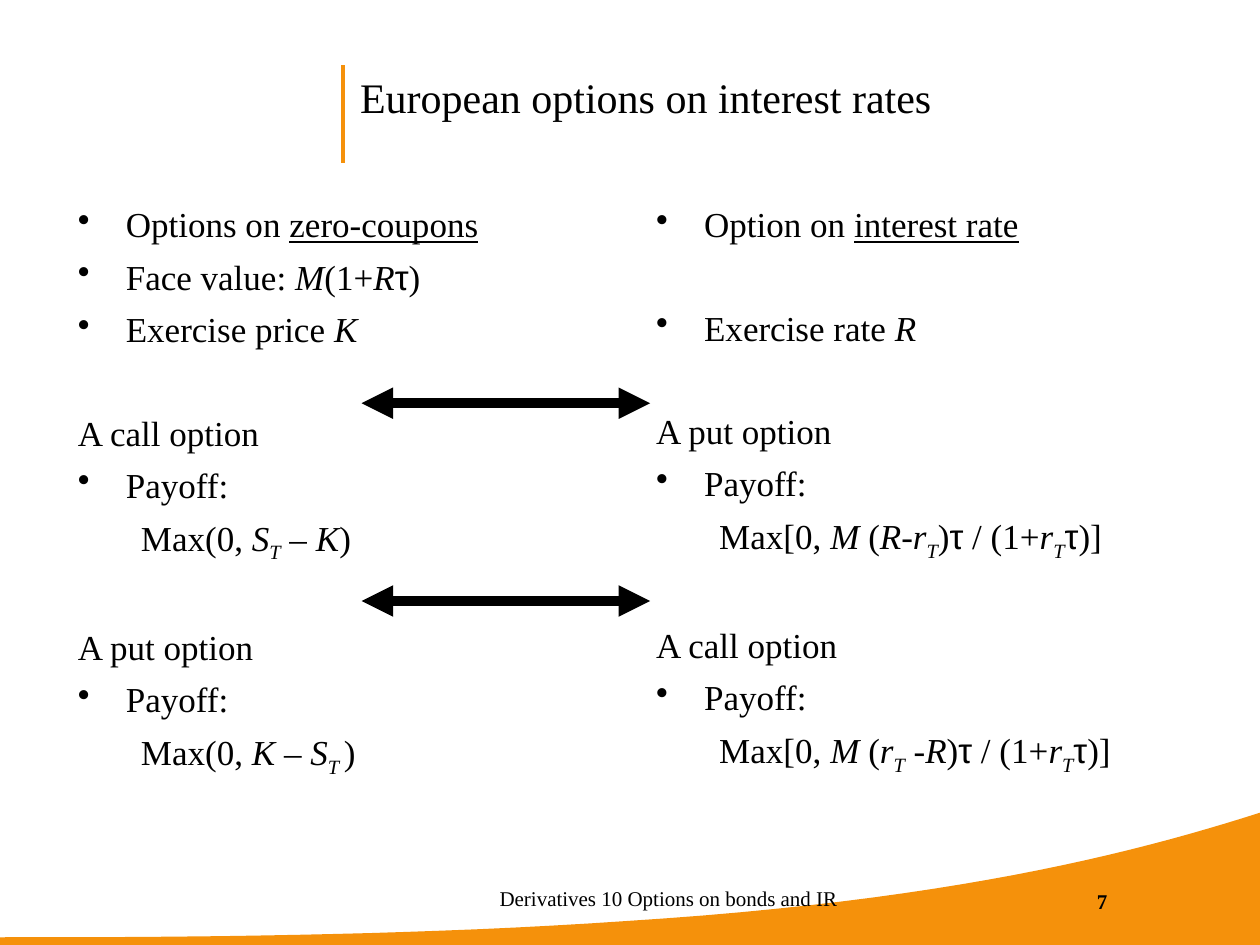
from lxml.etree import SubElement
from pptx import Presentation
from pptx.dml.color import RGBColor
from pptx.enum.shapes import MSO_CONNECTOR
from pptx.enum.text import MSO_ANCHOR, PP_ALIGN
from pptx.oxml.ns import qn
from pptx.util import Inches, Pt

ORANGE = RGBColor(0xF5, 0x91, 0x0B)
BLACK = RGBColor(0, 0, 0)
SERIF, GREEK = "Times New Roman", "Arial"

# Content: each line is (kind, extra rows skipped above, runs of (text, style))
TITLE = "European options on interest rates"
FOOTER = "Derivatives 10 Options on bonds and IR"
PAGE_NUMBER = "7"
PAYOFF = ("bullet", 0, [("Payoff:", "")])
DISCOUNT = [("τ", "greek"), (" / (1+", ""), ("r", "italic"), ("T", "sub"),
            ("τ", "greek"), (")]", "")]
ZERO_COUPONS = [
    ("bullet", 0, [("Options on ", ""), ("zero-coupons", "underline")]),
    ("bullet", 0, [("Face value: ", ""), ("M", "italic"), ("(1+", ""),
                   ("R", "italic"), ("τ", "greek"), (")", "")]),
    ("bullet", 0, [("Exercise price ", ""), ("K", "italic")]),
    ("heading", 1, [("A call option", "")]),
    PAYOFF,
    ("formula", 0, [("Max(0, ", ""), ("S", "italic"), ("T", "sub"),
                    (" – K", "italic"), (")", "")]),
    ("heading", 1, [("A put option", "")]),
    PAYOFF,
    ("formula", 0, [("Max(0, ", ""), ("K ", "italic"), ("– ", ""),
                    ("S", "italic"), ("T ", "sub"), (")", "")]),
]
INTEREST_RATE = [
    ("bullet", 0, [("Option on ", ""), ("interest rate", "underline")]),
    ("bullet", 1, [("Exercise rate ", ""), ("R", "italic")]),
    ("heading", 1, [("A put option", "")]),
    PAYOFF,
    ("formula", 0, [("Max[0, ", ""), ("M ", "italic"), ("(", ""),
                    ("R-r", "italic"), ("T", "sub"), (")", "")] + DISCOUNT),
    ("heading", 1, [("A call option", "")]),
    PAYOFF,
    ("formula", 0, [("Max[0, ", ""), ("M ", "italic"), ("(", ""),
                    ("r", "italic"), ("T", "sub"), (" -R", "italic"),
                    (")", "")] + DISCOUNT),
]
COLUMNS = [(0.52, ZERO_COUPONS), (5.11, INTEREST_RATE)]
ARROW_LEVELS = [3.2, 4.77]
INDENTS = {"bullet": (0.38, -0.38), "heading": (0.38, -0.38),
           "formula": (0.81, -0.31)}
LINE_GAP, ROW_PITCH = 6, 29  # points

# Upper edge of the swoosh, as cubic curves
SWOOSH_CURVES = [
    [(0, 7.44), (0.02, 7.43), (2.67, 7.47), (4.97, 7.31)],
    [(4.97, 7.31), (7.51, 7.15), (8.97, 6.78), (10, 6.45)],
]


def curve_points(curve, steps=24):
    for step in range(1, steps + 1):
        t = step / steps
        weights = ((1 - t) ** 3, 3 * t * (1 - t) ** 2, 3 * t * t * (1 - t), t ** 3)
        yield tuple(Inches(sum(w * point[axis] for w, point in zip(weights, curve)))
                    for axis in (0, 1))


def add_swoosh(slide):
    builder = slide.shapes.build_freeform(Inches(0), Inches(7.5))
    edge = [(Inches(0), Inches(7.44))]
    for curve in SWOOSH_CURVES:
        edge += curve_points(curve)
    builder.add_line_segments(edge + [(Inches(10), Inches(7.5))], close=True)
    swoosh = builder.convert_to_shape()
    swoosh.fill.solid()
    swoosh.fill.fore_color.rgb = ORANGE
    swoosh.line.fill.background()
    swoosh.shadow.inherit = False


def add_line(slide, start, end, color, width, arrows=False):
    line = slide.shapes.add_connector(
        MSO_CONNECTOR.STRAIGHT, *(Inches(v) for v in start + end))
    line.line.color.rgb = color
    line.line.width = Pt(width)
    if arrows:
        outline = line.line._get_or_add_ln()
        for tag in ("a:headEnd", "a:tailEnd"):
            SubElement(outline, qn(tag), type="triangle")
    SubElement(line._element.spPr, qn("a:effectLst"))


def add_frame(slide, *box):
    frame = slide.shapes.add_textbox(*(Inches(v) for v in box)).text_frame
    frame.word_wrap = True
    return frame


def format_run(run, size, style=""):
    font = run.font
    font.size = Pt(size)
    font.name = GREEK if style == "greek" else SERIF
    font.color.rgb = BLACK
    if style in ("italic", "sub"):
        font.italic = True
    if style == "underline":
        font.underline = True
    if style == "sub":
        run._r.get_or_add_rPr().set("baseline", "-25000")


def add_column(slide, left, lines):
    frame = add_frame(slide, left, 1.56, 4.41, 5.31)
    for index, (kind, skipped, runs) in enumerate(lines):
        paragraph = frame.add_paragraph() if index else frame.paragraphs[0]
        paragraph.space_before = Pt(LINE_GAP + skipped * ROW_PITCH)
        paragraph.level = 1 if kind == "formula" else 0
        margin, indent = INDENTS[kind]
        properties = paragraph._p.get_or_add_pPr()
        properties.set("marL", str(Inches(margin)))
        properties.set("indent", str(Inches(indent)))
        if kind == "bullet":
            SubElement(properties, qn("a:buChar"), char="•")
        else:
            SubElement(properties, qn("a:buNone"))
            if kind == "heading":
                properties.set("marL", "0")
                properties.set("indent", "0")
        for text, style in runs:
            run = paragraph.add_run()
            run.text = text
            format_run(run, 20, style)


def add_footer(slide, text, box, bold=False):
    frame = add_frame(slide, *box)
    frame.margin_left = frame.margin_right = frame.margin_top = frame.margin_bottom = 0
    frame.vertical_anchor = MSO_ANCHOR.BOTTOM
    frame.text = text
    paragraph = frame.paragraphs[0]
    paragraph.alignment = PP_ALIGN.RIGHT
    format_run(paragraph.runs[0], 12)
    paragraph.runs[0].font.bold = bold


def main():
    deck = Presentation()
    deck.slide_width, deck.slide_height = Inches(10), Inches(7.5)
    slide = deck.slides.add_slide(deck.slide_layouts[6])

    # Swoosh, title bar and title
    add_swoosh(slide)
    add_line(slide, (2.72, 0.52), (2.72, 1.29), ORANGE, 2.25)
    title = add_frame(slide, 2.76, 0.52, 6.76, 0.81)
    title.text = TITLE
    format_run(title.paragraphs[0].runs[0], 24)

    # Two columns and the arrows that match them
    for left, lines in COLUMNS:
        add_column(slide, left, lines)
    for level in ARROW_LEVELS:
        add_line(slide, (2.87, level), (5.16, level), BLACK, 6, arrows=True)

    # Footer
    add_footer(slide, FOOTER, (3.48, 6.89, 3.17, 0.34))
    add_footer(slide, PAGE_NUMBER, (7.63, 6.91, 1.16, 0.34), bold=True)
    deck.save("out.pptx")


if __name__ == "__main__":
    main()
